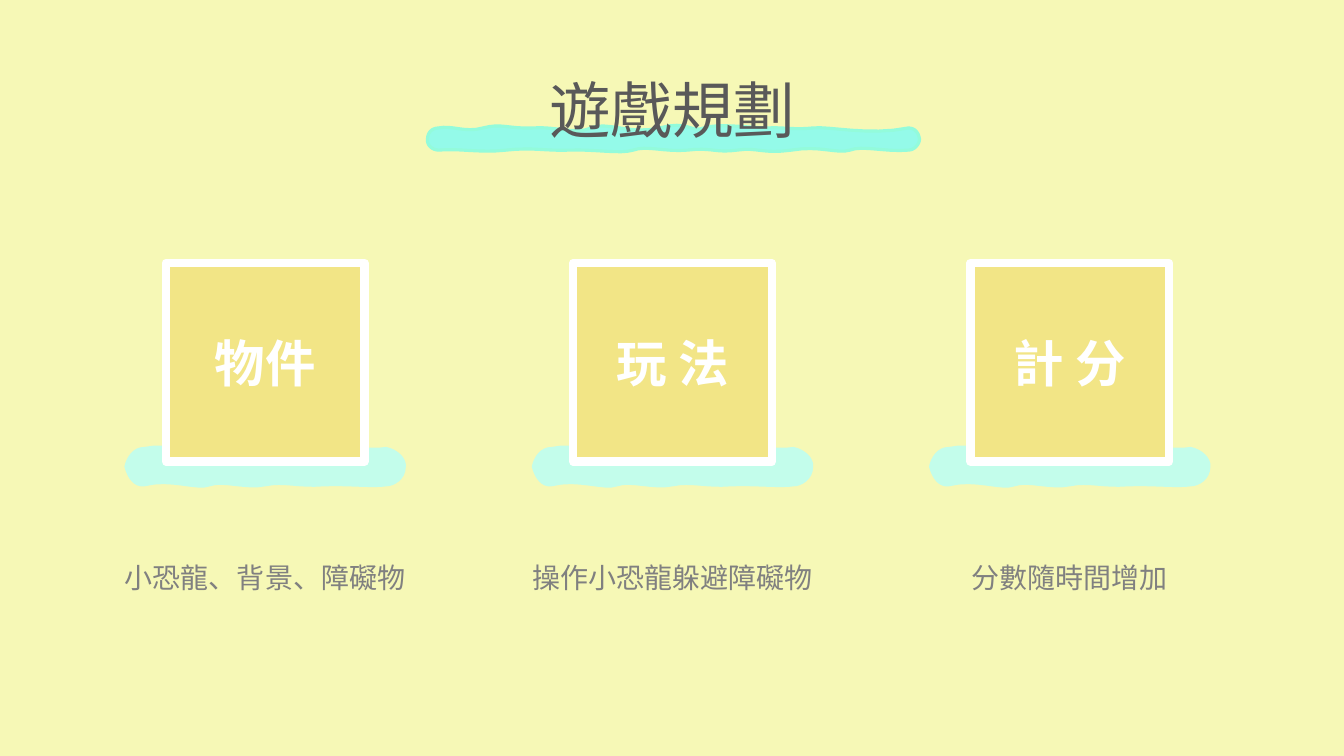
"""Build the game plan slide with three brush-underlined cards."""
import dataclasses
import typing

import lxml.etree
import pptx
import pptx.dml.color
import pptx.enum.shapes
import pptx.enum.text
import pptx.oxml.ns
import pptx.shapes.autoshape
import pptx.slide
import pptx.text.text
import pptx.util

Inches = pptx.util.Inches
Pt = pptx.util.Pt


@dataclasses.dataclass(frozen=True)
class Theme:
    font: str = "Noto Sans CJK SC"
    back: str = "F6F8B6"
    title: str = "595959"
    body: str = "808080"
    card: str = "F2E586"
    white: str = "FFFFFF"
    aqua: str = "94FAE9"
    edge: str = "93FBDB"
    mint: str = "C3FDEB"
    big: int = 44
    mid: int = 36
    small: int = 20
    brush: float = 2.25
    frame: float = 6


class Curve(typing.NamedTuple):
    ax: float
    ay: float
    bx: float
    by: float
    x: float
    y: float


class Brush(typing.NamedTuple):
    x: float
    y: float
    curves: list[Curve]


class Card(typing.NamedTuple):
    mid: float
    label: str
    note: str
    width: float


THEME = Theme()
SIDE = 1.97
CARDS = [
    Card(2.63, "物件", "小恐龍、背景、障礙物", 3.06),
    Card(6.67, "玩 法", "操作小恐龍躲避障礙物", 3.54),
    Card(10.61, "計 分", "分數隨時間增加", 3.06),
]
TOP = Brush(4.24, 1.38, [
    Curve(4.24, 1.32, 4.28, 1.27, 4.35, 1.27),
    Curve(4.48, 1.24, 4.61, 1.32, 4.79, 1.27),
    Curve(4.97, 1.22, 5.05, 1.28, 5.28, 1.27),
    Curve(5.5, 1.25, 5.72, 1.34, 5.86, 1.27),
    Curve(6.01, 1.2, 6.25, 1.34, 6.54, 1.27),
    Curve(6.83, 1.19, 6.85, 1.32, 6.98, 1.27),
    Curve(7.11, 1.22, 7.47, 1.27, 7.61, 1.27),
    Curve(7.76, 1.26, 7.88, 1.29, 8.06, 1.27),
    Curve(8.23, 1.25, 8.61, 1.35, 9.01, 1.27),
    Curve(9.07, 1.27, 9.11, 1.31, 9.12, 1.38),
    Curve(9.12, 1.43, 9.07, 1.49, 9.01, 1.49),
    Curve(8.78, 1.51, 8.55, 1.44, 8.43, 1.49),
    Curve(8.3, 1.53, 8.13, 1.44, 7.85, 1.49),
    Curve(7.56, 1.53, 7.52, 1.46, 7.31, 1.49),
    Curve(7.1, 1.52, 7.05, 1.46, 6.82, 1.49),
    Curve(6.59, 1.51, 6.41, 1.44, 6.28, 1.49),
    Curve(6.15, 1.53, 5.9, 1.48, 5.65, 1.49),
    Curve(5.41, 1.5, 5.29, 1.46, 5.02, 1.49),
    Curve(4.76, 1.52, 4.55, 1.47, 4.35, 1.49),
    Curve(4.29, 1.49, 4.23, 1.44, 4.24, 1.38),
])
BASE = Brush(1.25, 4.63, [
    Curve(1.27, 4.54, 1.33, 4.45, 1.43, 4.45),
    Curve(1.68, 4.4, 1.79, 4.5, 1.96, 4.45),
    Curve(2.13, 4.4, 2.4, 4.51, 2.51, 4.45),
    Curve(2.62, 4.4, 2.97, 4.5, 3.11, 4.45),
    Curve(3.25, 4.41, 3.67, 4.48, 3.83, 4.45),
    Curve(3.93, 4.47, 4.02, 4.55, 4.01, 4.63),
    Curve(4.01, 4.75, 3.9, 4.81, 3.83, 4.81),
    Curve(3.7, 4.83, 3.46, 4.8, 3.21, 4.81),
    Curve(2.95, 4.83, 2.82, 4.77, 2.63, 4.81),
    Curve(2.44, 4.85, 2.21, 4.76, 2.08, 4.81),
    Curve(1.95, 4.86, 1.69, 4.74, 1.43, 4.81),
    Curve(1.34, 4.82, 1.28, 4.74, 1.25, 4.63),
])


def color(code: str) -> pptx.dml.color.RGBColor:
    return pptx.dml.color.RGBColor.from_string(code)


def paint(shape: pptx.shapes.autoshape.Shape, fill: str, line: str, width: float) -> None:
    shape.shadow.inherit = False
    shape.fill.solid()
    shape.fill.fore_color.rgb = color(fill)
    shape.line.color.rgb = color(line)
    shape.line.width = Pt(width)


def trace(brush: Brush, shift: float, steps: int = 8) -> list[tuple[int, int]]:
    x, y = brush.x, brush.y
    points = [(x, y)]
    for c in brush.curves:
        for i in range(1, steps + 1):
            t = i / steps
            u = 1 - t
            a, b, d, e = u**3, 3 * u * u * t, 3 * u * t * t, t**3
            points.append((a * x + b * c.ax + d * c.bx + e * c.x,
                           a * y + b * c.ay + d * c.by + e * c.y))
        x, y = c.x, c.y
    return [(Inches(px + shift), Inches(py)) for px, py in points]


def stroke(slide: pptx.slide.Slide, brush: Brush, shift: float, fill: str, line: str) -> None:
    points = trace(brush, shift)
    pen = slide.shapes.build_freeform(*points[0])
    pen.add_line_segments(points[1:], close=True)
    paint(pen.convert_to_shape(), fill, line, THEME.brush)


def write(frame: pptx.text.text.TextFrame, text: str, size: int, tint: str,
          bold: bool = False, space: float = 1.0) -> None:
    frame.word_wrap = True
    para = frame.paragraphs[0]
    para.alignment = pptx.enum.text.PP_ALIGN.CENTER
    para.line_spacing = space
    run = para.add_run()
    run.text = text
    run.font.name = THEME.font
    run.font.size = Pt(size)
    run.font.bold = bold
    run.font.color.rgb = color(tint)
    east = lxml.etree.SubElement(run.font._element, pptx.oxml.ns.qn("a:ea"))
    east.set("typeface", THEME.font)


def head(slide: pptx.slide.Slide, text: str) -> None:
    box = slide.shapes.add_textbox(Inches(0.92), Inches(0.4), Inches(11.5), Inches(1.45))
    box.text_frame.vertical_anchor = pptx.enum.text.MSO_ANCHOR.MIDDLE
    write(box.text_frame, text, THEME.big, THEME.title, space=0.9)


def tile(slide: pptx.slide.Slide, card: Card) -> None:
    shape = slide.shapes.add_shape(
        pptx.enum.shapes.MSO_SHAPE.RECTANGLE,
        Inches(card.mid - SIDE / 2), Inches(2.61), Inches(SIDE), Inches(SIDE))
    paint(shape, THEME.card, THEME.white, THEME.frame)
    shape.text_frame.vertical_anchor = pptx.enum.text.MSO_ANCHOR.MIDDLE
    write(shape.text_frame, card.label, THEME.mid, THEME.white, bold=True)


def note(slide: pptx.slide.Slide, card: Card) -> None:
    box = slide.shapes.add_textbox(
        Inches(card.mid - card.width / 2), Inches(5.34), Inches(card.width), Inches(0.54))
    box.text_frame.auto_size = pptx.enum.text.MSO_AUTO_SIZE.SHAPE_TO_FIT_TEXT
    write(box.text_frame, card.note, THEME.small, THEME.body, space=1.5)


def main() -> None:
    deck = pptx.Presentation()
    deck.slide_width, deck.slide_height = Inches(13.33), Inches(7.5)
    slide = deck.slides.add_slide(deck.slide_layouts[6])
    slide.background.fill.solid()
    slide.background.fill.fore_color.rgb = color(THEME.back)
    stroke(slide, TOP, 0, THEME.aqua, THEME.edge)
    for card in CARDS:
        stroke(slide, BASE, card.mid - CARDS[0].mid, THEME.mint, THEME.mint)
    head(slide, "遊戲規劃")
    for card in CARDS:
        tile(slide, card)
    for card in CARDS:
        note(slide, card)
    deck.save("out.pptx")


if __name__ == "__main__":
    main()
